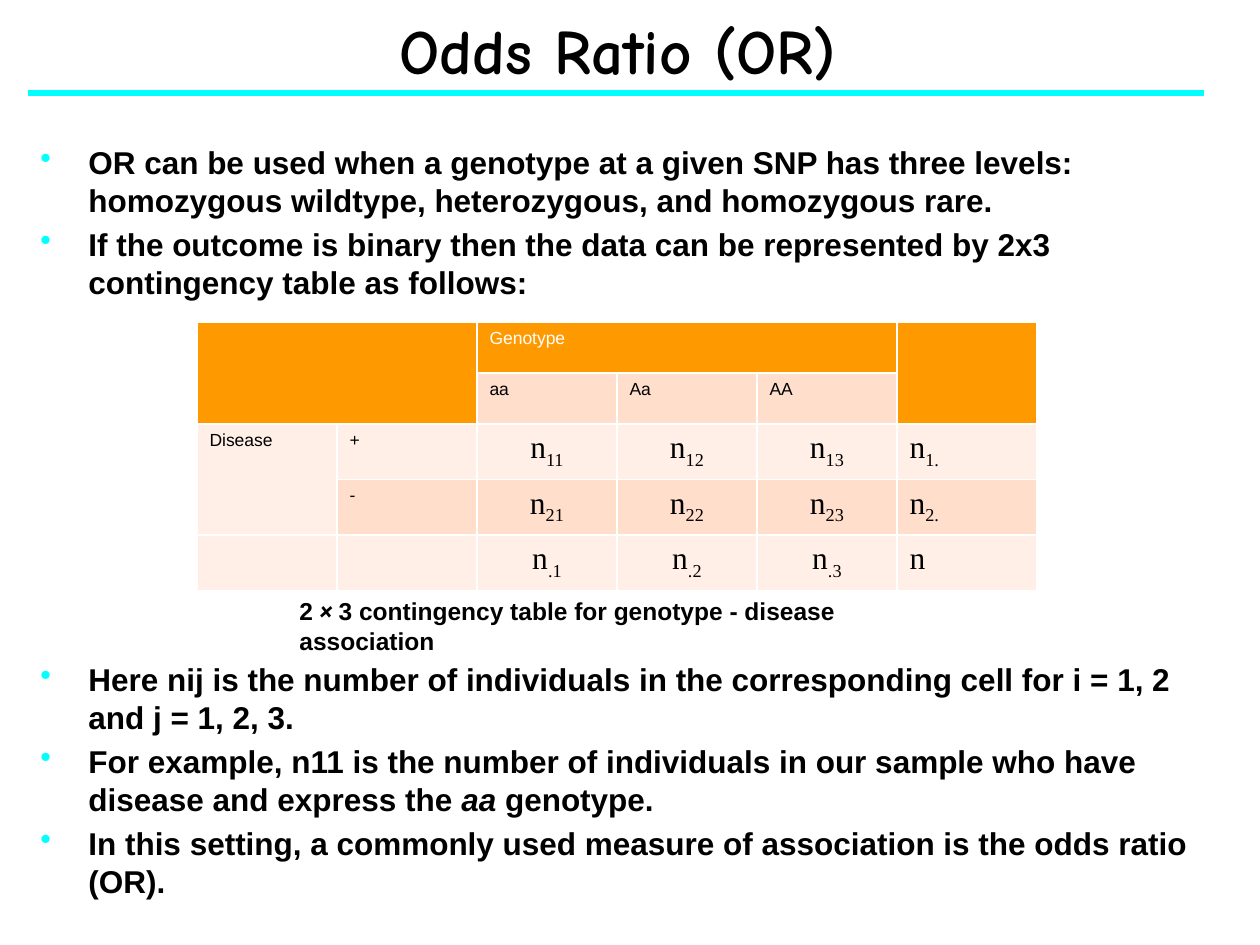
from lxml.etree import SubElement
from pptx import Presentation
from pptx.dml.color import RGBColor
from pptx.enum.shapes import MSO_CONNECTOR
from pptx.enum.text import MSO_ANCHOR, PP_ALIGN
from pptx.oxml.ns import qn
from pptx.util import Pt

PX = 7257.14  # EMU in one px, 126 px to the inch
BLACK = RGBColor(0, 0, 0)
WHITE = RGBColor(255, 255, 255)
CYAN = RGBColor(0, 255, 255)
ORANGE = RGBColor(255, 153, 0)
PEACH = RGBColor(255, 222, 204)
PALE = RGBColor(255, 239, 231)


def px(*lengths):
    """Turn px into EMU."""
    return [round(length * PX) for length in lengths]


def add_span(para, text, color=BLACK, **formats):
    span = para.add_run()
    span.text = text
    span.font.color.rgb = color
    for name, value in formats.items():
        setattr(span.font, name, value)
    return span


TITLE = {"name": "Comic Neue", "size": Pt(36), "bold": True}
BODY = {"name": "Arial", "size": Pt(18), "bold": True}
CAPTION = {"name": "Arial", "size": Pt(14), "bold": True}
LABEL = {"name": "Arial", "size": Pt(10), "bold": False}
COUNT = {"name": "Times New Roman", "size": Pt(18), "bold": False}

deck = Presentation()
deck.slide_width, deck.slide_height = px(1260, 945)
page = deck.slides.add_slide(deck.slide_layouts[5])

# Title and rule
title = page.shapes.title
title.left, title.top, title.width, title.height = px(55, 13, 1148, 82)
title.text_frame.vertical_anchor = MSO_ANCHOR.MIDDLE
para = title.text_frame.paragraphs[0]
para.alignment = PP_ALIGN.CENTER
para.line_spacing = 0.9
add_span(para, "Odds Ratio (OR) ", **TITLE)

rule = page.shapes.add_connector(MSO_CONNECTOR.STRAIGHT, *px(28, 93, 1204, 93))
rule.line.color.rgb = CYAN
rule.line.width = Pt(3)
SubElement(rule._element.spPr, qn("a:effectLst"))

# Bullets above and below the table; each bullet is a list of (text, italic)
bullet_boxes = [
    (137, 170, [
        [("OR can be used when a genotype at a given SNP has three levels: "
          "homozygous wildtype, heterozygous, and homozygous rare.", False)],
        [("If the outcome is binary then the data can be represented by 2x3 "
          "contingency table as follows:", False)],
    ]),
    (654, 258, [
        [("Here nij is the number of individuals in the corresponding cell "
          "for i = 1, 2 and j = 1, 2, 3.", False)],
        [("For example, n11 is the number of individuals in our sample who "
          "have disease and express the ", False), ("aa ", True), ("genotype.", False)],
        [("In this setting, a commonly used measure of association is the "
          "odds ratio (OR).", False)],
    ]),
]
for top, height, bullets in bullet_boxes:
    box = page.shapes.add_textbox(*px(28, top, 1204, height))
    box.text_frame.word_wrap = True
    for index, spans in enumerate(bullets):
        para = box.text_frame.add_paragraph() if index else box.text_frame.paragraphs[0]
        properties = para._p.get_or_add_pPr()
        indent = px(48)[0]
        properties.set("marL", str(indent))
        properties.set("indent", str(-indent))
        bullet_color = SubElement(properties, qn("a:buClr"))
        SubElement(bullet_color, qn("a:srgbClr"), val=str(CYAN))
        SubElement(properties, qn("a:buChar"), char="•")
        if index:
            para.space_before = Pt(3.6)
        for text, italic in spans:
            add_span(para, text, italic=italic, **BODY)

# Contingency table; a tuple is a count with its subscript
rows = [
    ["", "", "Genotype", "", "", ""],
    ["", "", "aa", "Aa", "AA", ""],
    ["Disease", "+", ("n", "11"), ("n", "12"), ("n", "13"), ("n", "1.")],
    ["", "-", ("n", "21"), ("n", "22"), ("n", "23"), ("n", "2.")],
    ["", "", ("n", ".1"), ("n", ".2"), ("n", ".3"), ("n", "")],
]
row_fills = [ORANGE, PEACH, PALE, PEACH, PALE]
table = page.shapes.add_table(5, 6, *px(197, 322, 840, 255)).table
for first, last in [((0, 0), (1, 1)), ((0, 2), (0, 4)), ((0, 5), (1, 5)), ((2, 0), (3, 0))]:
    table.cell(*first).merge(table.cell(*last))
for row, (values, fill) in enumerate(zip(rows, row_fills)):
    for column, value in enumerate(values):
        cell = table.cell(row, column)
        cell.fill.solid()
        cell.fill.fore_color.rgb = fill
        para = cell.text_frame.paragraphs[0]
        if isinstance(value, tuple):
            symbol, subscript = value
            if column < 5:
                para.alignment = PP_ALIGN.CENTER
            add_span(para, symbol, **COUNT)
            if subscript:
                span = add_span(para, subscript, **COUNT)
                span.font._element.set("baseline", "-25000")
        elif value:
            add_span(para, value, BLACK if row else WHITE, **LABEL)

# Caption
caption = page.shapes.add_textbox(*px(287, 590, 684, 43))
caption.text_frame.word_wrap = True
para = caption.text_frame.paragraphs[0]
add_span(para, "2 ", **CAPTION)
add_span(para, "× ", italic=True, **{**CAPTION, "name": "Roboto"})
add_span(para, "3 contingency table for genotype - disease association", **CAPTION)

deck.save("out.pptx")
